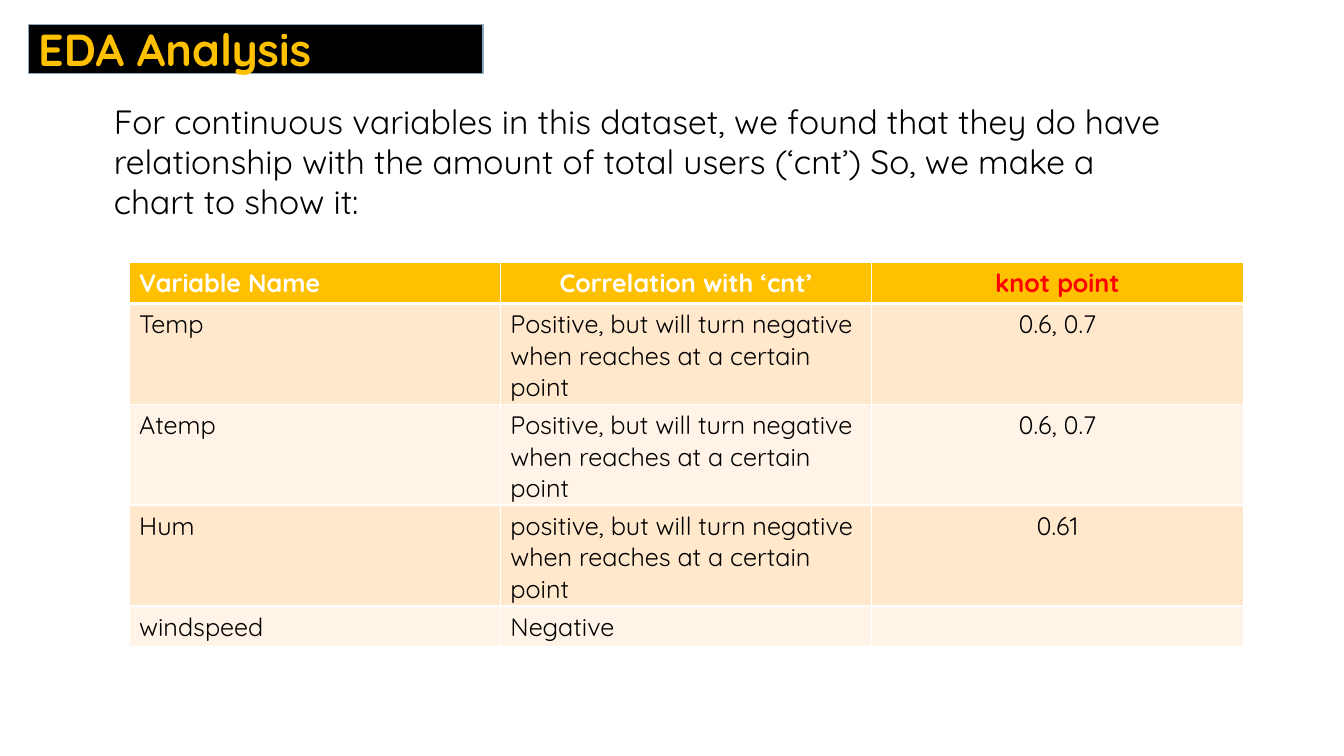
from lxml.etree import SubElement
from pptx import Presentation
from pptx.dml.color import RGBColor
from pptx.enum.shapes import MSO_SHAPE
from pptx.enum.text import MSO_ANCHOR, PP_ALIGN
from pptx.oxml.ns import qn
from pptx.util import Emu, Pt

EMU_PER_PX = 9144
FONT = "Quicksand"
COLORS = {
    "black": "000000",
    "white": "FFFFFF",
    "amber": "FFC000",
    "red": "FF0000",
    "outline": "8CAABD",
    "band_dark": "FFE8CC",
    "band_light": "FFF4E7",
}
INTRO = (
    "For continuous variables in this dataset, we found that they do have "
    "relationship with the amount of total users (‘cnt’) So, we make a chart to show it:"
)
TURNING = "ositive, but will turn negative when reaches at a certain point"
ROWS = [
    ("Variable Name", "Correlation with ‘cnt’", "knot point"),
    ("Temp", "P" + TURNING, "0.6, 0.7"),
    ("Atemp", "P" + TURNING, "0.6, 0.7"),
    ("Hum", "p" + TURNING, "0.61"),
    ("windspeed", "Negative", ""),
]
ROW_HEIGHTS = [41, 100, 100, 100, 40]


def px(length):
    return Emu(length * EMU_PER_PX)


def color(name):
    return RGBColor.from_string(COLORS[name])


def write(frame, text, size, ink, bold=False, align=PP_ALIGN.LEFT):
    frame.word_wrap = True
    para = frame.paragraphs[0]
    para.text = text
    para.alignment = align
    para.font.name = FONT
    para.font.size = Pt(size)
    para.font.bold = bold
    para.font.color.rgb = color(ink)


def add_title(page, box):
    banner = page.shapes.add_shape(MSO_SHAPE.RECTANGLE, *map(px, box))
    banner.shadow.inherit = False
    banner.fill.solid()
    banner.fill.fore_color.rgb = color("black")
    banner.line.color.rgb = color("outline")
    banner.line.width = Pt(1)
    banner.text_frame.vertical_anchor = MSO_ANCHOR.MIDDLE
    write(banner.text_frame, "EDA Analysis", 32, "amber", bold=True)


def add_intro(page, box):
    intro = page.shapes.add_textbox(*map(px, box))
    write(intro.text_frame, INTRO, 24, "black")


def set_borders(cell, widths):
    properties = cell._tc.get_or_add_tcPr()
    for side, width in widths.items():
        line = SubElement(properties, qn(f"a:ln{side}"), w=str(Pt(width)))
        fill = SubElement(line, qn("a:solidFill"))
        SubElement(fill, qn("a:srgbClr"), val=COLORS["white"])


def style_cell(cell, text, row, column):
    header = row == 0
    top = 3 if row == 1 else 1
    bottom = 3 if header else 1
    set_borders(cell, {"L": 1, "R": 1, "T": top, "B": bottom})
    band = "band_dark" if row % 2 else "band_light"
    cell.fill.solid()
    cell.fill.fore_color.rgb = color("amber" if header else band)
    centred = column == 2 or (header and column == 1)
    header_ink = "red" if column == 2 else "white"
    write(
        cell.text_frame,
        text,
        18,
        header_ink if header else "black",
        bold=header,
        align=PP_ALIGN.CENTER if centred else PP_ALIGN.LEFT,
    )


def add_correlations(page, box):
    frame = page.shapes.add_table(len(ROWS), len(ROWS[0]), *map(px, box))
    table = frame.table
    for row, (texts, height) in enumerate(zip(ROWS, ROW_HEIGHTS)):
        table.rows[row].height = px(height)
        for column, text in enumerate(texts):
            style_cell(table.cell(row, column), text, row, column)


def main():
    deck = Presentation()
    deck.slide_width, deck.slide_height = px(1333), px(750)
    page = deck.slides.add_slide(deck.slide_layouts[6])
    add_title(page, (28, 24, 451, 49))
    add_intro(page, (103, 95, 1078, 131))
    add_correlations(page, (128, 260, 1105, sum(ROW_HEIGHTS)))
    deck.save("out.pptx")


if __name__ == "__main__":
    main()
